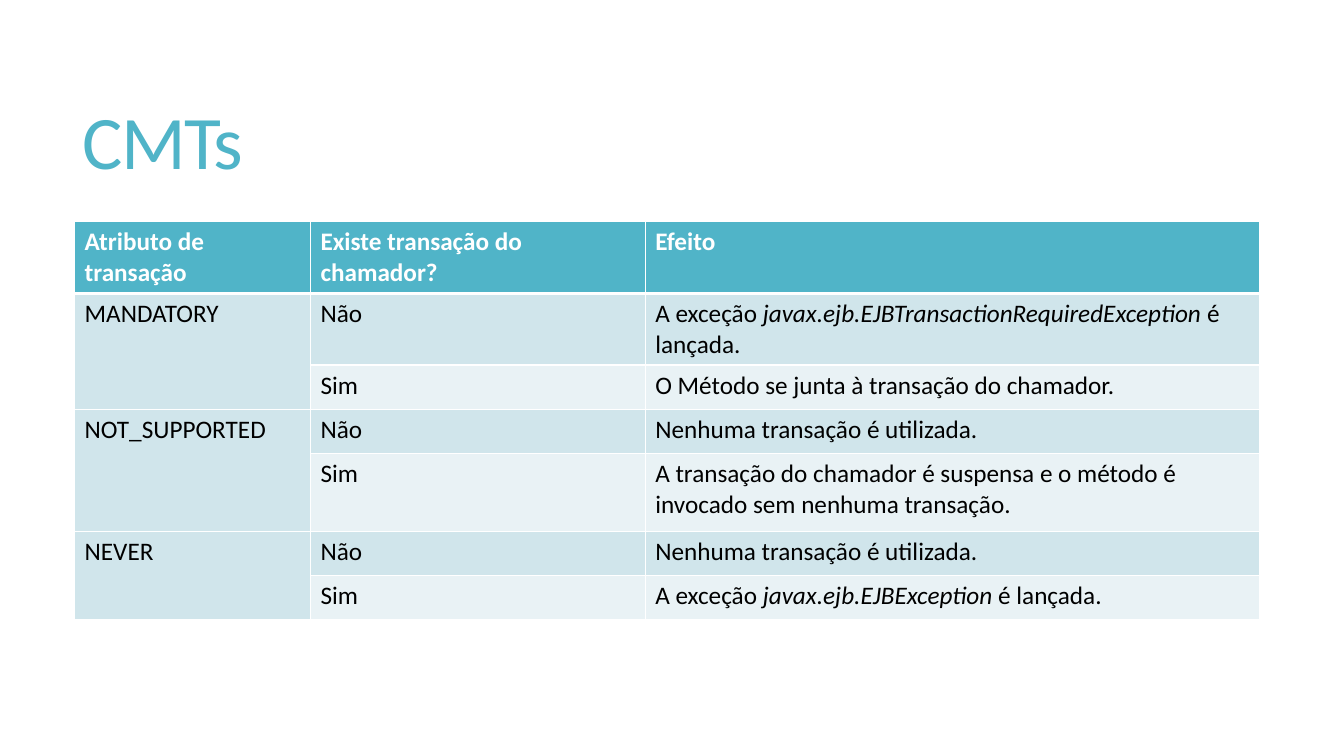
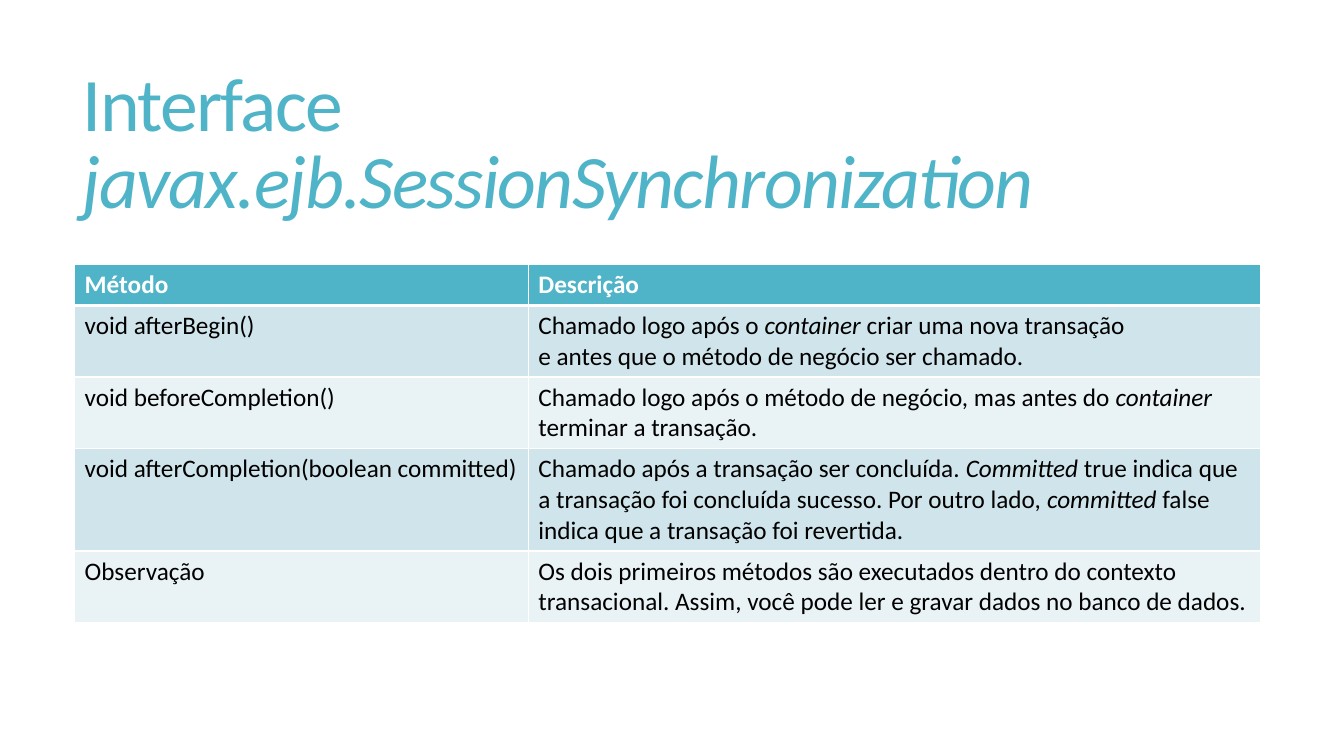
import pptx
import pptx.dml.color
import pptx.enum.text
import pptx.oxml
import pptx.oxml.ns
import pptx.util

Inches = pptx.util.Inches
Pt = pptx.util.Pt

COLORS = {
    "accent": "50B4C8",
    "band": "D0E5EB",
    "light": "E9F2F5",
    "white": "FFFFFF",
    "black": "000000",
}
FONT = "Calibri"
TITLE_FORMAT = {"name": FONT, "size": Pt(54), "bold": False}
HEADER_FORMAT = {"name": FONT, "size": Pt(18), "bold": True}
BODY_FORMAT = {"name": FONT, "size": Pt(18), "bold": False}

PAGES = [
    {
        "title": "CMTs",
        "top": 2.2,
        "columns": [2.34, 3.32, 6.09],
        "heights": [0.7, 0.71, 0.44, 0.44, 0.77, 0.44, 0.44],
        # An empty cell joins the cell above it.
        "rows": [
            ["Atributo de transação", "Existe transação do chamador?", "Efeito"],
            ["MANDATORY", "Não", "A exceção *javax.ejb.EJBTransactionRequiredException* é lançada."],
            ["", "Sim", "O Método se junta à transação do chamador."],
            ["NOT_SUPPORTED", "Não", "Nenhuma transação é utilizada."],
            ["", "Sim", "A transação do chamador é suspensa e o método é invocado sem nenhuma transação."],
            ["NEVER", "Não", "Nenhuma transação é utilizada."],
            ["", "Sim", "A exceção *javax.ejb.EJBException* é lançada."],
        ],
    },
    {
        "title": "Interface *javax.ejb.SessionSynchronization*",
        "top": 2.62,
        "columns": [4.5, 7.26],
        "heights": [0.41, 0.7, 0.7, 1.01, 0.7],
        "rows": [
            ["Método", "Descrição"],
            ["void afterBegin()",
             "Chamado logo após o *container *criar uma nova transação\n"
             "e antes que o método de negócio ser chamado."],
            ["void beforeCompletion()",
             "Chamado logo após o método de negócio, mas antes do *container *terminar a transação."],
            ["void afterCompletion(boolean committed)",
             "Chamado após a transação ser concluída. *Committed* true indica que a transação foi "
             "concluída sucesso. Por outro lado, *committed* false indica que a transação foi revertida."],
            ["Observação",
             "Os dois primeiros métodos são executados dentro do contexto transacional. "
             "Assim, você pode ler e gravar dados no banco de dados."],
        ],
    },
]


def write_text(frame, text, font_format, color):
    """Fill a text frame: newlines split paragraphs, asterisks enclose italics."""
    for line_number, line in enumerate(text.split("\n")):
        para = frame.add_paragraph() if line_number else frame.paragraphs[0]
        para.alignment = pptx.enum.text.PP_ALIGN.LEFT
        for part_number, part in enumerate(line.split("*")):
            if not part:
                continue
            span = para.add_run()
            span.text = part
            for name, value in font_format.items():
                setattr(span.font, name, value)
            span.font.italic = part_number % 2 == 1
            span.font.color.rgb = pptx.dml.color.RGBColor.from_string(COLORS[color])


def add_borders(cell, row_number):
    """Draw white borders, with a thick rule under the header row."""
    thick_side = {0: "lnB", 1: "lnT"}.get(row_number)
    properties = cell._tc.get_or_add_tcPr()
    for side in ("lnL", "lnR", "lnT", "lnB"):
        width = Pt(3 if side == thick_side else 1)
        properties.append(pptx.oxml.parse_xml(
            f'<a:{side} {pptx.oxml.ns.nsdecls("a")} w="{width}"><a:solidFill>'
            f'<a:srgbClr val="{COLORS["white"]}"/></a:solidFill></a:{side}>'))


deck = pptx.Presentation()
deck.slide_width = Inches(13.33)
deck.slide_height = Inches(7.5)
title_only = deck.slide_layouts[5]

for content in PAGES:
    page = deck.slides.add_slide(title_only)

    title = page.shapes.title
    title.left, title.top = Inches(0.72), Inches(0.55)
    title.width, title.height = Inches(11.78), Inches(1.81)
    frame = title.text_frame
    frame.word_wrap = True
    frame.auto_size = pptx.enum.text.MSO_AUTO_SIZE.NONE
    frame.vertical_anchor = pptx.enum.text.MSO_ANCHOR.MIDDLE
    write_text(frame, content["title"], TITLE_FORMAT, "accent")
    frame.paragraphs[0].line_spacing = 0.85
    for span in frame.paragraphs[0].runs:
        span.font._element.set("spc", "-120")

    rows, columns, heights = content["rows"], content["columns"], content["heights"]
    table = page.shapes.add_table(
        len(rows), len(columns), Inches(0.74), Inches(content["top"]),
        Inches(sum(columns)), Inches(sum(heights))).table
    for column, width in zip(table.columns, columns):
        column.width = Inches(width)
    for row, height in zip(table.rows, heights):
        row.height = Inches(height)

    for row_number, texts in enumerate(rows):
        is_header = row_number == 0
        fill = "accent" if is_header else "band" if row_number % 2 else "light"
        for column_number, text in enumerate(texts):
            cell = table.cell(row_number, column_number)
            add_borders(cell, row_number)
            cell.fill.solid()
            cell.fill.fore_color.rgb = pptx.dml.color.RGBColor.from_string(COLORS[fill])
            if text:
                write_text(cell.text_frame, text,
                           HEADER_FORMAT if is_header else BODY_FORMAT,
                           "white" if is_header else "black")
            else:
                table.cell(row_number - 1, column_number).merge(cell)

deck.save("out.pptx")
